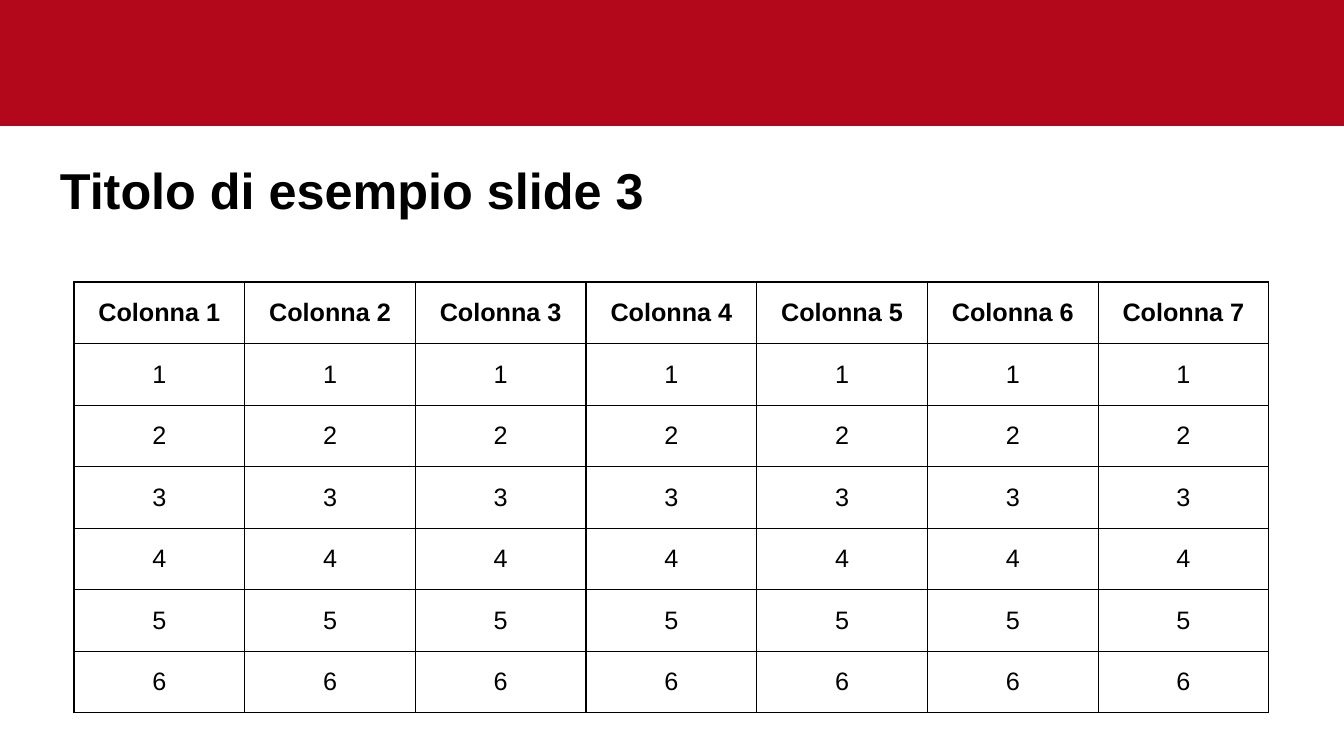
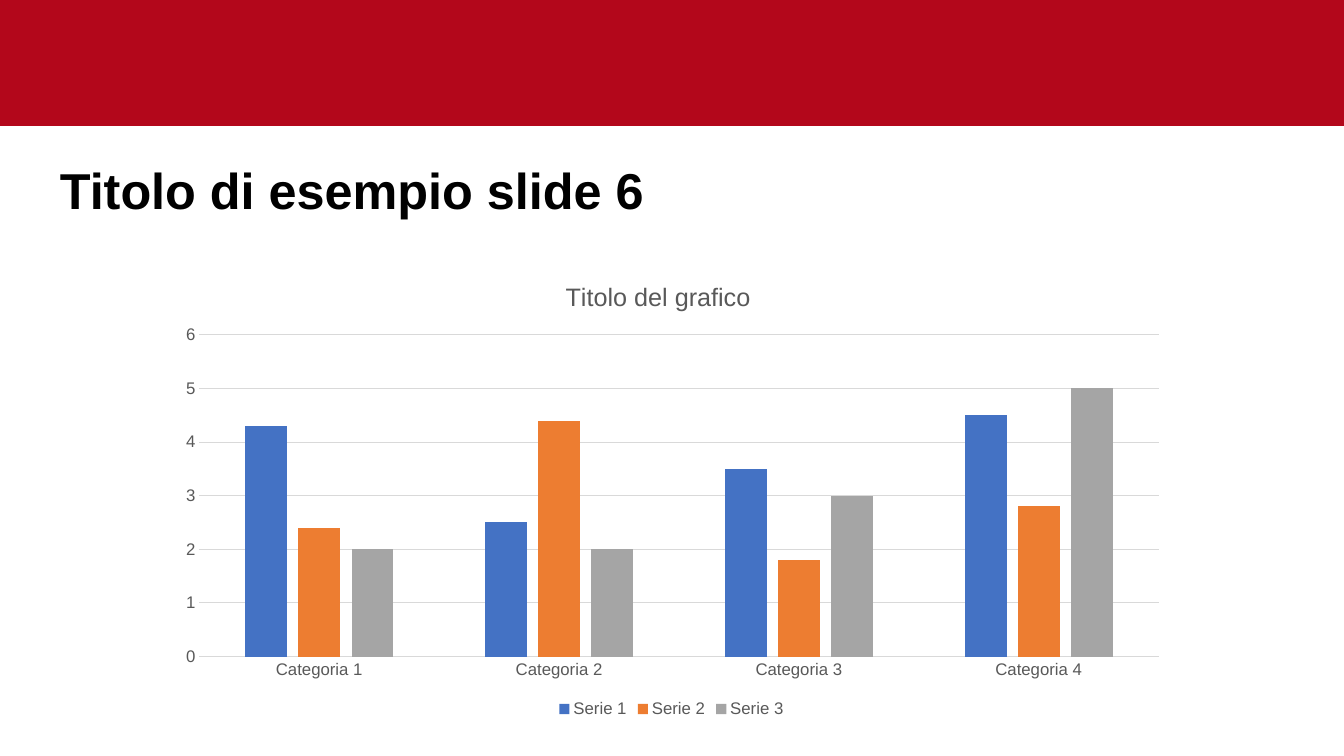
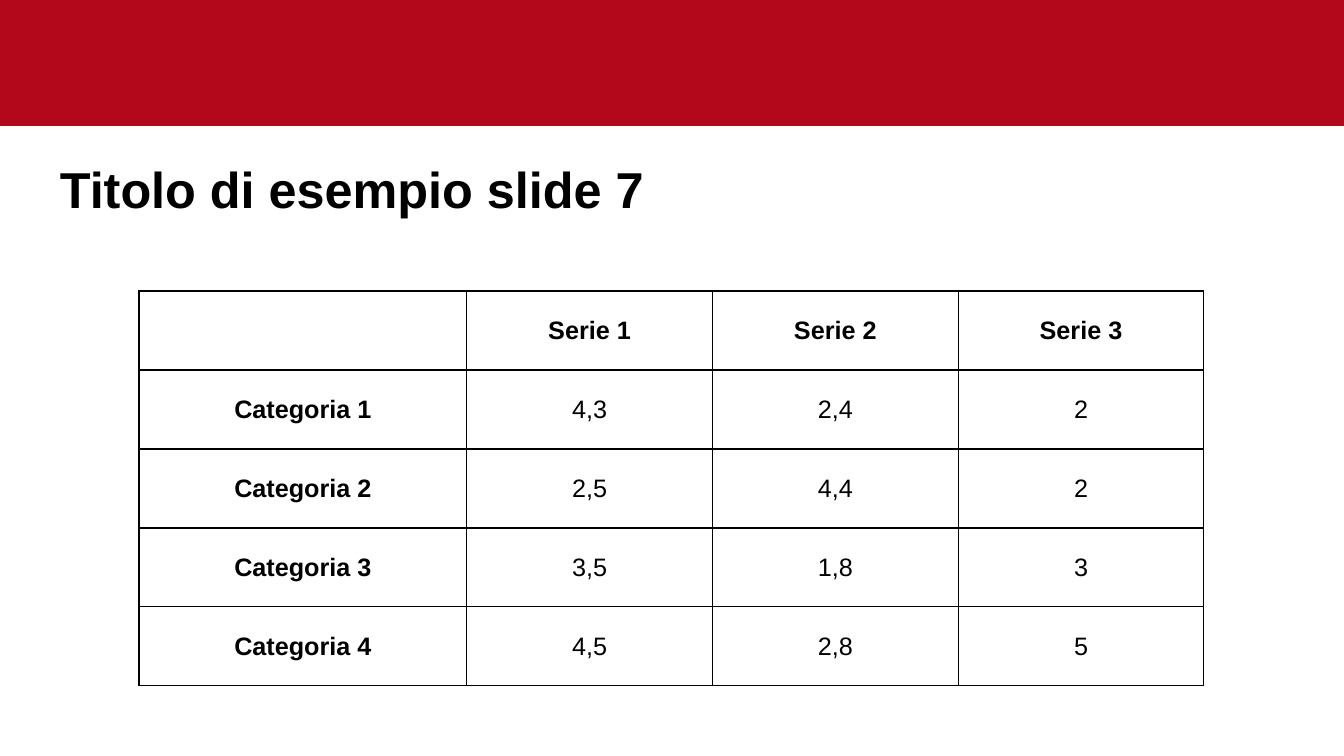
from lxml.etree import SubElement
from pptx import Presentation
from pptx.chart.data import CategoryChartData
from pptx.dml.color import RGBColor
from pptx.enum.chart import XL_CHART_TYPE, XL_LEGEND_POSITION, XL_TICK_MARK
from pptx.enum.shapes import MSO_SHAPE
from pptx.enum.text import MSO_ANCHOR, PP_ALIGN
from pptx.oxml import parse_xml
from pptx.oxml.ns import nsdecls, qn
from pptx.util import Emu, Pt

WIDE, HIGH = 1344, 756
RED, BLACK, GREY, PALE = "B3071B", "000000", "595959", "D9D9D9"
TITLE = {"size": Pt(36), "bold": True, "name": "Arial"}
HEAD = {"size": Pt(18), "bold": True, "name": "Arial"}
BODY = {**HEAD, "bold": False}
LABEL = {**BODY, "size": Pt(12)}


def px(count):
    return Emu(round(count * 12192000 / WIDE))


def style(font, look, hue):
    """Apply the format values and the hex colour to a font."""
    for key, value in look.items():
        setattr(font, key, value)
    font.color.rgb = RGBColor.from_string(hue)


deck = Presentation()
deck.slide_width, deck.slide_height = px(WIDE), px(HIGH)

# Red band and title on every slide
slides = []
for number, top in ((3, 128), (6, 128), (7, 127)):
    slide = deck.slides.add_slide(deck.slide_layouts[6])
    slides.append(slide)
    band = slide.shapes.add_shape(MSO_SHAPE.RECTANGLE, 0, 0, px(WIDE), px(126))
    band.shadow.inherit = False
    band.fill.solid()
    band.fill.fore_color.rgb = RGBColor.from_string(RED)
    band.line.fill.background()

    frame = slide.shapes.add_textbox(px(50), px(top), px(1294), px(131)).text_frame
    frame.word_wrap = True
    frame.vertical_anchor = MSO_ANCHOR.MIDDLE
    line = frame.paragraphs[0]
    line.line_spacing = 0.9
    run = line.add_run()
    run.text = f"Titolo di esempio slide {number}"
    style(run.font, TITLE, BLACK)

# Data
series = {
    "Serie 1": ((4.3, 2.5, 3.5, 4.5), "4472C4"),
    "Serie 2": ((2.4, 4.4, 1.8, 2.8), "ED7D31"),
    "Serie 3": ((2, 2, 3, 5), "A5A5A5"),
}
groups = [f"Categoria {n}" for n in range(1, 5)]
plain = [[f"Colonna {n}" for n in range(1, 8)]]
plain += [[str(n)] * 7 for n in range(1, 7)]
values = [["", *series]]
for group, *row in zip(groups, *(nums for nums, _ in series.values())):
    values.append([group] + [str(num).replace(".", ",") for num in row])

# Tables: slide, cell texts, box, column shares, bold first column
tables = (
    (slides[0], plain, (74, 282, 1195, 431), [1] * 7, False),
    (slides[2], values, (139, 291, 1065, 395), [4, 3, 3, 3], True),
)
for slide, texts, box, shares, lead in tables:
    table = slide.shapes.add_table(len(texts), len(shares), *map(px, box)).table
    table.first_row = table.horz_banding = False
    for column, share in zip(table.columns, shares):
        column.width = px(box[2] * share / sum(shares))
    for r, words in enumerate(texts):
        table.rows[r].height = px(box[3] / len(texts))
        for c, word in enumerate(words):
            cell = table.cell(r, c)
            cell.vertical_anchor = MSO_ANCHOR.MIDDLE
            cell.margin_top = cell.margin_bottom = 0
            line = cell.text_frame.paragraphs[0]
            line.alignment = PP_ALIGN.CENTER
            if word:
                run = line.add_run()
                run.text = word
                bold = r == 0 or (lead and c == 0)
                style(run.font, HEAD if bold else BODY, BLACK)
            for side in ("lnL", "lnR", "lnT", "lnB"):
                edge = SubElement(cell._tc.get_or_add_tcPr(), qn(f"a:{side}"), w=str(Pt(1)))
                SubElement(SubElement(edge, qn("a:solidFill")), qn("a:srgbClr"), val=BLACK)
            cell.fill.background()

# Chart
data = CategoryChartData()
data.categories = groups
for name, (nums, _) in series.items():
    data.add_series(name, nums)
left, top, width, height = 165, 259, 1013, 463
chart = slides[1].shapes.add_chart(
    XL_CHART_TYPE.COLUMN_CLUSTERED, *map(px, (left, top, width, height)), data).chart
style(chart.font, LABEL, GREY)

plot = chart.plots[0]
for key, value in {"gap_width": 219, "overlap": -27, "vary_by_categories": False}.items():
    setattr(plot, key, value)
for bars, (_, hue) in zip(plot.series, series.values()):
    bars.format.fill.solid()
    bars.format.fill.fore_color.rgb = RGBColor.from_string(hue)

down, across = chart.value_axis, chart.category_axis
for axis in (down, across):
    axis.major_tick_mark = axis.minor_tick_mark = XL_TICK_MARK.NONE
    style(axis.tick_labels.font, LABEL, GREY)
for key, value in {"minimum_scale": 0, "maximum_scale": 6, "major_unit": 1}.items():
    setattr(down, key, value)
down.format.line.fill.background()
for rule in (down.major_gridlines.format.line, across.format.line):
    rule.width = Pt(0.75)
    rule.color.rgb = RGBColor.from_string(PALE)

chart.has_legend = True
chart.legend.position = XL_LEGEND_POSITION.BOTTOM
chart.legend.include_in_layout = False
style(chart.legend.font, LABEL, GREY)

run = chart.chart_title.text_frame.paragraphs[0].add_run()
run.text = "Titolo del grafico"
style(run.font, BODY, GREY)

# Place the chart title and the inner plot area by hand
places = (
    (chart.chart_title._element, 1, "", {"x": (561 - left) / width, "y": (276 - top) / height}),
    (chart._chartSpace.chart.plotArea, 0, '<c:layoutTarget val="inner"/>',
     {"x": (199 - left) / width, "y": (335 - top) / height,
      "w": 959 / width, "h": 322 / height}),
)
for part, spot, target, sizes in places:
    for old in part.findall(qn("c:layout")):
        part.remove(old)
    modes = "".join(f'<c:{key}Mode val="edge"/>' for key in "xy")
    marks = "".join(f'<c:{key} val="{value:.3f}"/>' for key, value in sizes.items())
    part.insert(spot, parse_xml(
        f'<c:layout {nsdecls("c")}><c:manualLayout>{target}{modes}{marks}'
        "</c:manualLayout></c:layout>"))

deck.save("out.pptx")
